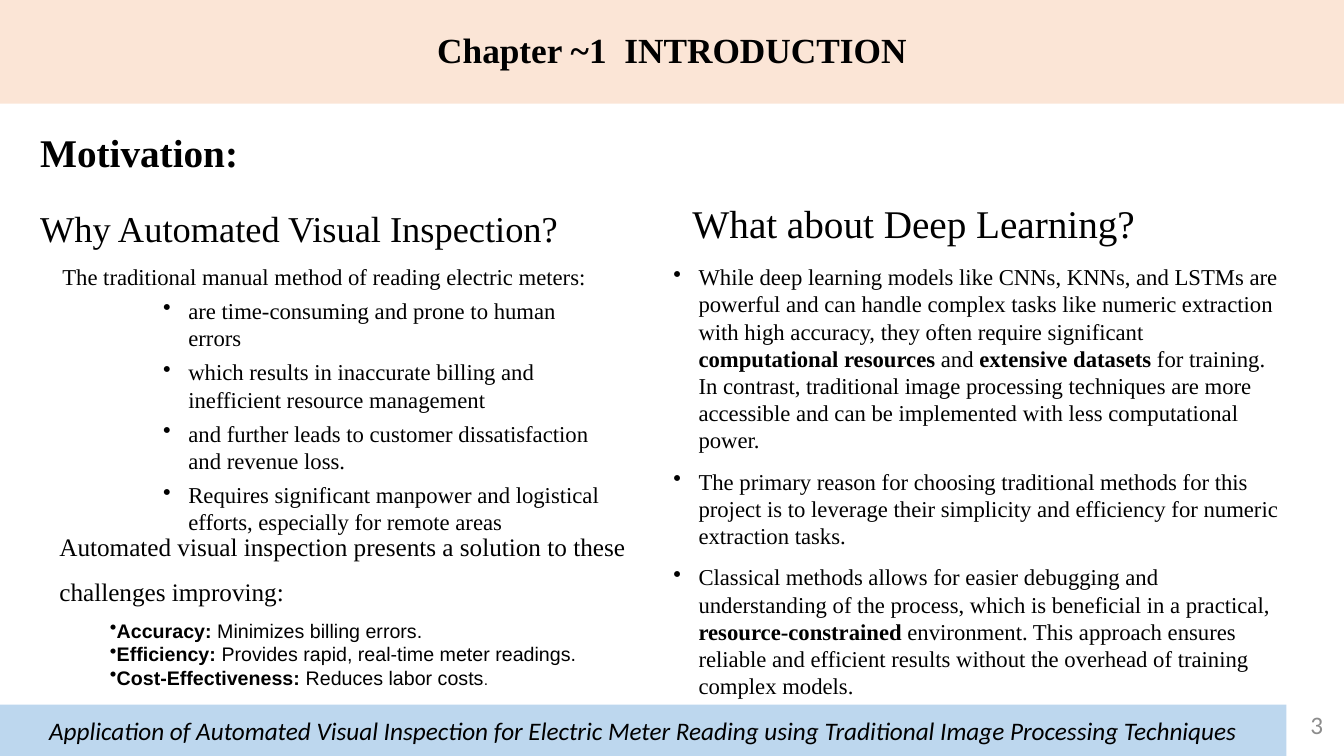
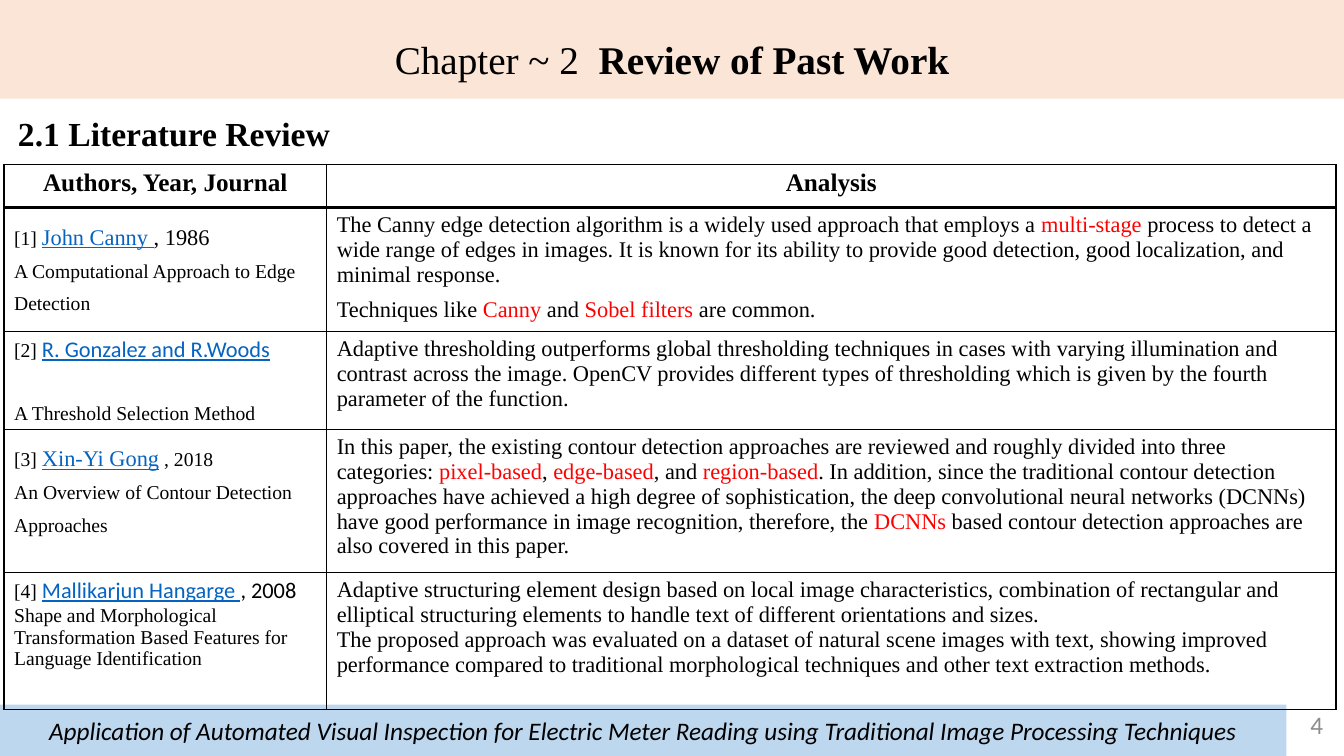
from lxml import etree
from pptx import Presentation
from pptx.dml.color import RGBColor
from pptx.enum.shapes import MSO_SHAPE
from pptx.enum.text import MSO_ANCHOR, PP_ALIGN
from pptx.oxml.ns import qn
from pptx.util import Inches, Pt

RECTANGLE = MSO_SHAPE.RECTANGLE
MIDDLE = MSO_ANCHOR.MIDDLE
CENTER, RIGHT = PP_ALIGN.CENTER, PP_ALIGN.RIGHT

BLACK = RGBColor(0x00, 0x00, 0x00)
GRAY = RGBColor(0x8C, 0x8C, 0x8C)
PEACH = RGBColor(0xFB, 0xE5, 0xD6)
PALE_BLUE = RGBColor(0xBD, 0xD7, 0xEE)
LINK_BLUE = RGBColor(0x05, 0x63, 0xC1)
RED = RGBColor(0xFF, 0x00, 0x00)

SERIF, SANS, FOOTER_FONT = "Times New Roman", "Arial", "Calibri"
WIDTH, HEIGHT = 13.33, 7.5
BAND_HEIGHT, FOOTER_TOP, FOOTER_WIDTH = 1.03, 6.99, 12.76
BODY_SIZE = 16.2
BOLD = {"bold": True}
RED_TEXT = {"color": RED}

FOOTER = ("Application of Automated Visual Inspection for Electric Meter Reading "
          "using Traditional Image Processing Techniques")

MANUAL_INTRO = "The traditional manual method of reading electric meters:"
MANUAL_PROBLEMS = [
    "are time-consuming and prone to human errors",
    "which results in inaccurate billing and inefficient resource management",
    "and further leads to customer dissatisfaction and revenue loss.",
    "Requires significant manpower and logistical efforts, especially for remote areas",
]
SOLUTION_INTRO = "Automated visual inspection presents a solution to these challenges improving:"
SOLUTION_GAINS = [
    "*Accuracy:* Minimizes billing errors.",
    "*Efficiency:* Provides rapid, real-time meter readings.",
    [("Cost-Effectiveness:", BOLD), (" Reduces labor costs", {}), (".", {"size": 11})],
]
DEEP_LEARNING = [
    "While deep learning models like CNNs, KNNs, and LSTMs are powerful and can handle "
    "complex tasks like numeric extraction with high accuracy, they often require significant "
    "*computational resources* and *extensive datasets* for training. In contrast, traditional "
    "image processing techniques are more accessible and can be implemented with less "
    "computational power.",
    "The primary reason for choosing traditional methods for this project is to leverage their "
    "simplicity and efficiency for numeric extraction tasks.",
    "Classical methods allows for easier debugging and understanding of the process, which is "
    "beneficial in a practical, *resource-constrained* environment. This approach ensures "
    "reliable and efficient results without the overhead of training complex models.",
]
HEADINGS = [
    ("Motivation:", (0.3, 1.22, 6.66, 0.57), {"size": 28, "bold": True}),
    ("Why Automated Visual Inspection?", (0.3, 1.74, 6.37, 0.64), {"size": 26, "spacing": 1.6}),
    ("What about Deep Learning?", (6.77, 1.88, 6.26, 0.64), {"size": 28, "spacing": 1.1}),
]

TABLE_HEADER = ["Authors, Year, Journal", "Analysis"]
COLUMN_WIDTHS = [3.2, 10.01]
ROW_HEIGHTS = [0.43, 1.23, 0.97, 1.42, 1.36]
AUTHOR = {"size": 16, "color": LINK_BLUE, "underline": True}
AUTHOR_SANS = {**AUTHOR, "font": FOOTER_FONT}
REVIEWS = [
    {
        "source": [("[1] ", {}), ("John Canny ", AUTHOR), (", 1986", {"size": 16})],
        "title": "A Computational Approach to Edge Detection",
        "source_format": {"spacing": 1.5},
        "title_format": {"spacing": 1.5},
        "analysis": [
            ("The Canny edge detection algorithm is a widely used approach that employs a "
             "*multi-stage* process to detect a wide range of edges in images. It is known for its "
             "ability to provide good detection, good localization, and minimal response.", {}),
            ("Techniques like *Canny* and *Sobel filters* are common.", {"spacing": 1.4}),
        ],
    },
    {
        "source": [("[2] ", {}), ("R. Gonzalez and R.Woods", AUTHOR_SANS)],
        "title": "A Threshold Selection Method",
        "source_format": {},
        "title_format": {"spacing": 1.5, "before": 20},
        "analysis": [
            ("Adaptive thresholding outperforms global thresholding techniques in cases with "
             "varying illumination and contrast across the image. OpenCV provides different types "
             "of thresholding which is given by the fourth parameter of the function.", {}),
        ],
    },
    {
        "source": [("[3] ", {}), ("Xin-Yi Gong", AUTHOR), (" , 2018", {})],
        "title": "An Overview of Contour Detection Approaches",
        "source_format": {"spacing": 1.5},
        "title_format": {"spacing": 1.5},
        "analysis": [
            ("In this paper, the existing contour detection approaches are reviewed and roughly "
             "divided into three categories: *pixel-based*, *edge-based*, and *region-based*. In "
             "addition, since the traditional contour detection approaches have achieved a high "
             "degree of sophistication, the deep convolutional neural networks (DCNNs) have good "
             "performance in image recognition, therefore, the *DCNNs* based contour detection "
             "approaches are also covered in this paper.", {}),
        ],
    },
    {
        "source": [("[4] ", {}), ("Mallikarjun Hangarge ", AUTHOR_SANS),
                   (", 2008", {"size": 16, "font": FOOTER_FONT})],
        "title": "Shape and Morphological Transformation Based Features for Language Identification",
        "source_format": {},
        "title_format": {},
        "analysis": [
            ("Adaptive structuring element design based on local image characteristics, combination "
             "of rectangular and elliptical structuring elements to handle text of different "
             "orientations and sizes.", {}),
            ("The proposed approach was evaluated on a dataset of natural scene images with text, "
             "showing improved performance compared to traditional morphological techniques and "
             "other text extraction methods.", {}),
        ],
    },
]


def write(frame, text, emphasis=BOLD, align=None, spacing=None, before=0, bullet=None, **style):
    first = frame.paragraphs[0]
    is_first = not first.runs
    paragraph = first if is_first else frame.add_paragraph()
    if bullet:
        left, hanging = bullet
        properties = paragraph._p.get_or_add_pPr()
        properties.set("marL", str(Inches(left)))
        properties.set("indent", str(Inches(-hanging)))
        etree.SubElement(properties, qn("a:buChar")).set("char", "•")
    if align is not None:
        paragraph.alignment = align
    if spacing:
        paragraph.line_spacing = spacing
    paragraph.space_before = Pt(0 if is_first else before)
    if isinstance(text, str):
        text = [(part, emphasis if index % 2 else {})
                for index, part in enumerate(text.split("*"))]
    for part, override in text:
        look = {"font": SERIF, "size": 16, "color": BLACK, **style, **override}
        run = paragraph.add_run()
        run.text = part
        run.font.name = look["font"]
        run.font.size = Pt(look["size"])
        run.font.color.rgb = look["color"]
        run.font.bold = look.get("bold", False)
        run.font.italic = look.get("italic", False)
        run.font.underline = look.get("underline", False)


def add_frame(slide, box, anchor=None):
    frame = slide.shapes.add_textbox(*map(Inches, box)).text_frame
    frame.word_wrap = True
    if anchor is not None:
        frame.vertical_anchor = anchor
    return frame


def add_band(slide, box, color):
    band = slide.shapes.add_shape(RECTANGLE, *map(Inches, box))
    band.shadow.inherit = False
    band.fill.solid()
    band.fill.fore_color.rgb = color
    band.line.fill.background()
    frame = band.text_frame
    frame.word_wrap = True
    frame.vertical_anchor = MIDDLE
    return frame


def add_base(presentation, number, title, title_top=0, **title_format):
    slide = presentation.slides.add_slide(presentation.slide_layouts[6])
    title_band = add_band(slide, (0, title_top, WIDTH, BAND_HEIGHT), PEACH)
    write(title_band, title, align=CENTER, **title_format)
    footer = add_band(slide, (0, FOOTER_TOP, FOOTER_WIDTH, HEIGHT - FOOTER_TOP), PALE_BLUE)
    write(footer, FOOTER, align=CENTER, size=18, font=FOOTER_FONT, italic=True)
    page = add_frame(slide, (12.84, FOOTER_TOP, 0.38, 0.4), MIDDLE)
    write(page, str(number), align=RIGHT, size=18, font=FOOTER_FONT, color=GRAY)
    return slide


def style_cell(cell, bottom_width, top_width):
    cell.margin_bottom = 0
    properties = cell._tc.get_or_add_tcPr()
    for side, width in (("L", 1), ("R", 1), ("T", top_width), ("B", bottom_width)):
        line = etree.SubElement(properties, qn(f"a:ln{side}"), w=str(Pt(width)))
        fill = etree.SubElement(line, qn("a:solidFill"))
        etree.SubElement(fill, qn("a:srgbClr"), val=str(BLACK))
    cell.fill.background()


def build_motivation(presentation):
    slide = add_base(presentation, 3, "Chapter ~1  INTRODUCTION", size=25.2, bold=True, spacing=0.9)
    for text, box, look in HEADINGS:
        write(add_frame(slide, box), text, **look)

    manual = add_frame(slide, (0.52, 2.42, 5.6, 2.82))
    write(manual, MANUAL_INTRO, size=BODY_SIZE, spacing=1.5)
    for problem in MANUAL_PROBLEMS:
        write(manual, problem, size=BODY_SIZE, before=5, bullet=(1.25, 0.25))

    solution = add_frame(slide, (0.49, 5.07, 6.09, 1.87))
    write(solution, SOLUTION_INTRO, size=18, spacing=1.5)
    for index, gain in enumerate(SOLUTION_GAINS):
        write(solution, gain, size=14, font=SANS, spacing=1 if index else 1.5, bullet=(0.5, 0))

    learning = add_frame(slide, (6.58, 2.56, 6.26, 4.43))
    for point in DEEP_LEARNING:
        write(learning, point, size=BODY_SIZE, before=10, bullet=(0.25, 0.25))


def build_review(presentation):
    slide = add_base(presentation, 4, "Chapter ~ 2  *Review of Past Work*", title_top=-0.05,
                     size=28, spacing=1.5)
    write(add_frame(slide, (0.08, 1.07, 4, 0.5)), "2.1 Literature Review", size=24, bold=True)

    table = slide.shapes.add_table(
        len(ROW_HEIGHTS), len(COLUMN_WIDTHS), Inches(0.04), Inches(1.63),
        Inches(sum(COLUMN_WIDTHS)), Inches(sum(ROW_HEIGHTS))).table
    table.first_row = table.horz_banding = False
    for column, width in zip(table.columns, COLUMN_WIDTHS):
        column.width = Inches(width)
    for index, (row, height) in enumerate(zip(table.rows, ROW_HEIGHTS)):
        row.height = Inches(height)
        for cell in row.cells:
            style_cell(cell, 2 if index == 0 else 1, 2 if index == 1 else 1)

    for column, heading in enumerate(TABLE_HEADER):
        write(table.cell(0, column).text_frame, heading, align=CENTER, size=18, bold=True)
    for row, review in enumerate(REVIEWS, start=1):
        reference = table.cell(row, 0).text_frame
        write(reference, review["source"], size=14, **review["source_format"])
        write(reference, review["title"], size=14, **review["title_format"])
        for text, look in review["analysis"]:
            write(table.cell(row, 1).text_frame, text, emphasis=RED_TEXT, **look)


def main():
    presentation = Presentation()
    presentation.slide_width = Inches(WIDTH)
    presentation.slide_height = Inches(HEIGHT)
    build_motivation(presentation)
    build_review(presentation)
    presentation.save("out.pptx")


if __name__ == "__main__":
    main()
